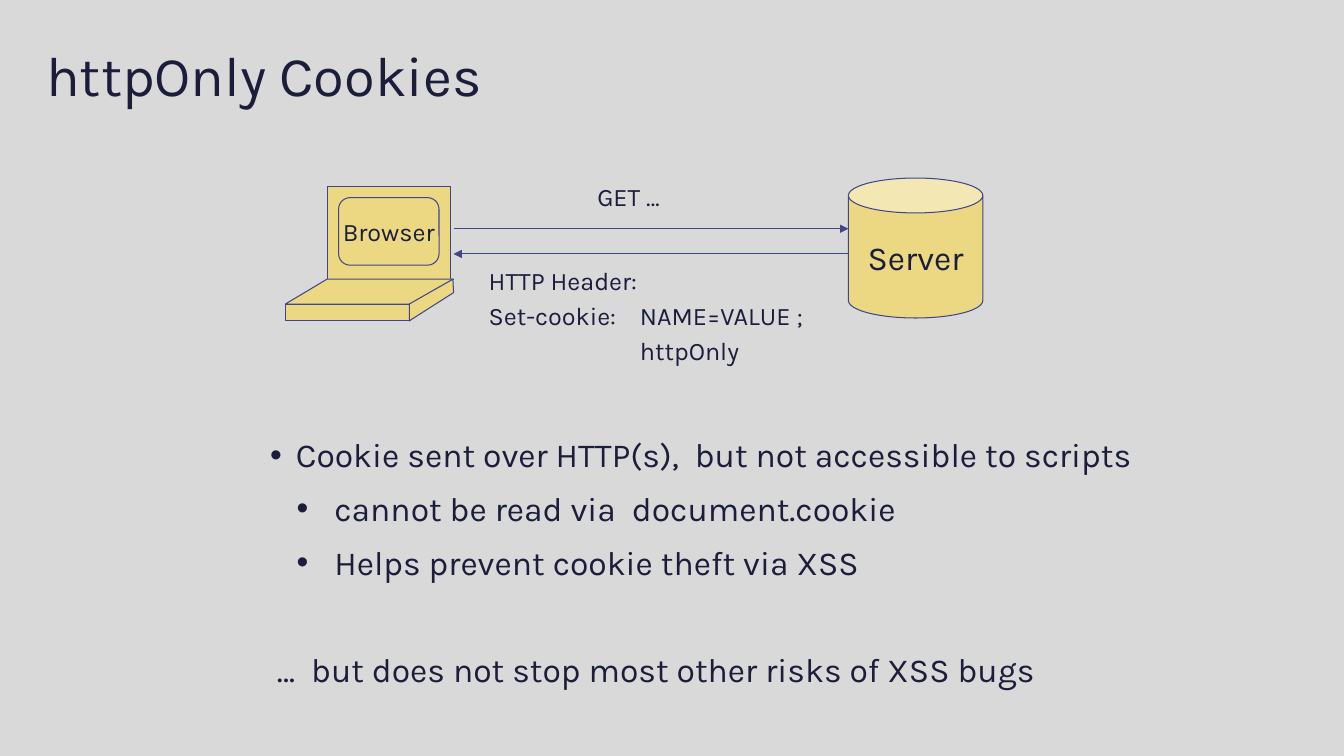
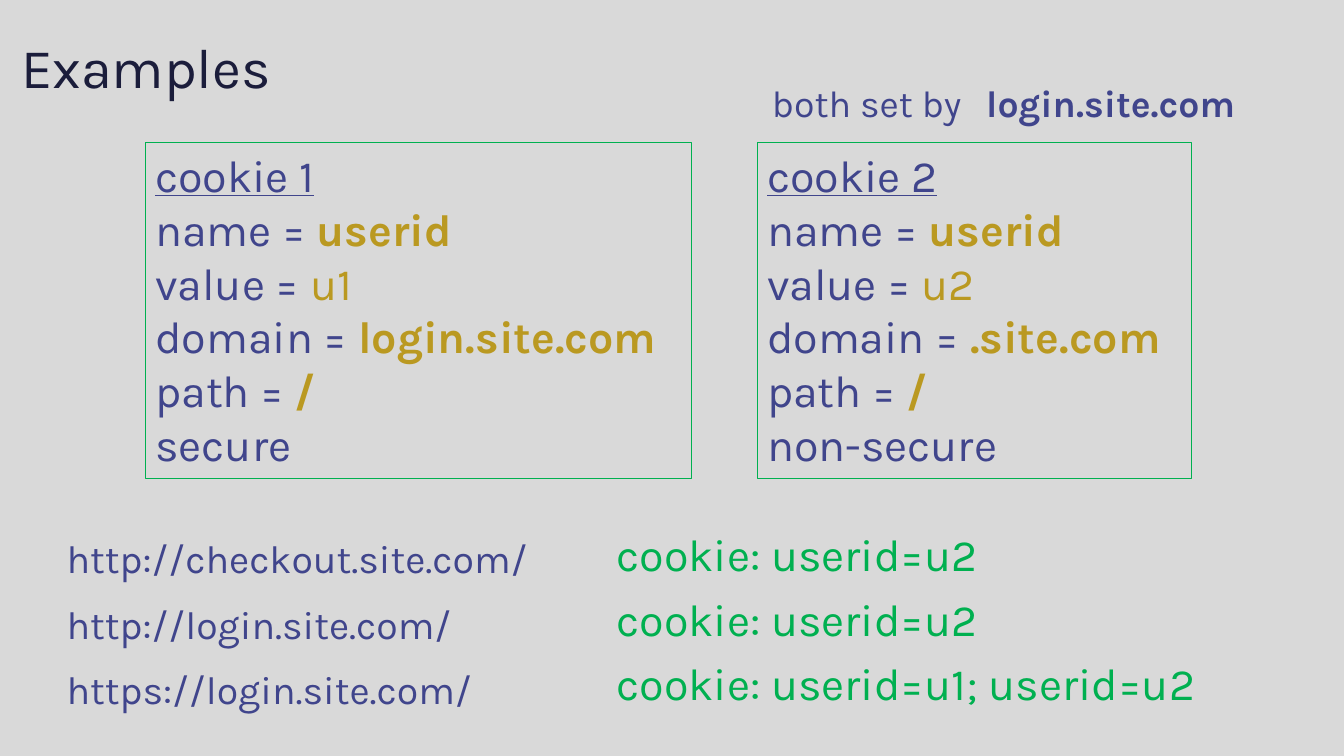
from lxml import etree
from pptx import Presentation
from pptx.dml.color import RGBColor
from pptx.enum.shapes import MSO_CONNECTOR as CONN, MSO_SHAPE as SHAPE
from pptx.enum.text import MSO_ANCHOR as ANCHOR, PP_ALIGN as ALIGN
from pptx.oxml.ns import qn
from pptx.util import Pt

# Shared style
FONT = "Karla"
PAPER, INK, BLUE = "D9D9D9", "1B1D3B", "40458C"
SAND, GOLD, GREEN = "ECD882", "BA9921", "00B050"


def rgb(value):
    return RGBColor.from_string(value)


# Text helpers
def add_run(p, text, size, color=INK, bold=False, underline=False):
    r = p.add_run()
    r.text = text
    f = r.font
    f.name, f.size, f.bold, f.underline = FONT, Pt(size), bold, underline
    f.color.rgb = rgb(color)


def add_para(tf, before=0):
    """Use the empty first paragraph, then append further ones."""
    first = tf.paragraphs[0]
    if not first.runs:
        return first
    p = tf.add_paragraph()
    p.space_before = Pt(before)
    return p


def add_box(s, x, y, w, h, anchor=ANCHOR.TOP):
    tf = s.shapes.add_textbox(Pt(x), Pt(y), Pt(w), Pt(h)).text_frame
    tf.word_wrap = True
    tf.vertical_anchor = anchor
    return tf


def set_indent(p, left, hang=0, bullet=None):
    pPr = p._p.get_or_add_pPr()
    pPr.set("marL", str(Pt(left)))
    pPr.set("indent", str(-Pt(hang)))
    if bullet:
        etree.SubElement(pPr, qn("a:buFont")).set("typeface", "Arial")
        etree.SubElement(pPr, qn("a:buChar")).set("char", bullet)


def add_tab(p, pos):
    tabs = etree.SubElement(p._p.get_or_add_pPr(), qn("a:tabLst"))
    tab = etree.SubElement(tabs, qn("a:tab"))
    tab.set("pos", str(Pt(pos)))
    tab.set("algn", "l")


# Shape helpers
def paint(sp, fill=SAND, line=BLUE):
    sp.shadow.inherit = False
    if fill:
        sp.fill.solid()
        sp.fill.fore_color.rgb = rgb(fill)
    else:
        sp.fill.background()
    sp.line.color.rgb = rgb(line)
    sp.line.width = Pt(0.75)


def add_shape(s, kind, x, y, w, h, adj=None, **colors):
    sp = s.shapes.add_shape(kind, Pt(x), Pt(y), Pt(w), Pt(h))
    if adj is not None:
        sp.adjustments[0] = adj
    paint(sp, **colors)
    return sp


def add_label(sp, text, size):
    tf = sp.text_frame
    tf.margin_left = tf.margin_right = 0
    tf.word_wrap = False
    tf.vertical_anchor = ANCHOR.MIDDLE
    p = tf.paragraphs[0]
    p.alignment = ALIGN.CENTER
    add_run(p, text, size)


def add_arrow(s, x1, x2, y):
    c = s.shapes.add_connector(CONN.STRAIGHT, Pt(x1), Pt(y), Pt(x2), Pt(y))
    c.line.color.rgb = rgb(BLUE)
    c.line.width = Pt(0.75)
    etree.SubElement(c.line._get_or_add_ln(), qn("a:tailEnd")).set("type", "triangle")
    etree.SubElement(c._element.spPr, qn("a:effectLst"))


def new_slide(prs, title, x, y, w, h):
    s = prs.slides.add_slide(prs.slide_layouts[6])
    tf = add_box(s, x, y, w, h, ANCHOR.BOTTOM)
    add_run(tf.paragraphs[0], title, 40)
    return s


# Regions of the httpOnly slide
def laptop(s, x, y, w, h):
    screen_x, screen_w, screen_h = x + w * 0.25, w * 0.73, h * 0.69
    hinge_y, base_y, base_w = y + screen_h, y + h * 0.875, w * 0.745
    add_shape(s, SHAPE.RECTANGLE, screen_x, y, screen_w, screen_h)
    screen = add_shape(s, SHAPE.ROUNDED_RECTANGLE, screen_x + 8, y + 8,
                       screen_w - 16, screen_h - 18, 0.17)
    add_label(screen, "Browser", 18)
    add_shape(s, SHAPE.PARALLELOGRAM, x, hinge_y, w, base_y - hinge_y, 1.67)
    add_shape(s, SHAPE.RECTANGLE, x, base_y, base_w, y + h - base_y)

    # Right side of the base
    edge = x + base_w - 1
    outline = [(edge, y + h), (x + w, y + h * 0.79), (x + w - 0.5, hinge_y),
               (edge, base_y)]
    points = [(Pt(px), Pt(py)) for px, py in outline]
    fb = s.shapes.build_freeform(*points[0])
    fb.add_line_segments(points[1:], close=True)
    paint(fb.convert_to_shape())


def server(s, x, y, w, h):
    add_label(add_shape(s, SHAPE.CAN, x, y, w, h, 0.26), "Server", 24)


def exchange(s, x, y, w):
    """Request and response between x and x + w; y is the request line."""
    add_arrow(s, x, x + w, y)
    add_arrow(s, x + w, x, y + 18)
    p = add_box(s, x + w / 2 - 51, y - 37.4, 70, 28.8).paragraphs[0]
    p.alignment = ALIGN.CENTER
    add_run(p, "GET …", 18)
    tf = add_box(s, x + 18, y + 22.3, 378, 81.4)
    for text in ("HTTP Header:", "Set-cookie:\tNAME=VALUE ;", "\thttpOnly"):
        p = add_para(tf, 3.6)
        add_tab(p, 108)
        add_run(p, text, 18)


def effects(s, x, y, w, h):
    tf = add_box(s, x, y, w, h)
    rows = [  # text, space before, left indent, hanging part, bullet
        ("Cookie sent over HTTP(s),  but not accessible to scripts", 0, 18.5, 18.5, "•"),
        ("cannot be read via  document.cookie", 9.6, 46, 27, "•"),
        ("Helps prevent cookie theft via XSS", 9.6, 46, 27, "•"),
        ("…  but does not stop most other risks of XSS bugs", 48, 5, 0, None),
    ]
    for text, before, left, hang, bullet in rows:
        p = add_para(tf, before)
        set_indent(p, left, hang, bullet)
        add_run(p, text, 24)


def http_only_slide(prs):
    s = new_slide(prs, "httpOnly Cookies", 26, 14.4, 612, 66.2)
    laptop(s, 203.8, 133.2, 120.2, 96)
    server(s, 606, 127.2, 96, 100)
    exchange(s, 324, 163.4, 282)
    effects(s, 185.8, 306.7, 700, 199.4)


# Regions of the examples slide
def cookie_card(s, x, y, w, h, heading, fields, flag):
    sp = add_shape(s, SHAPE.RECTANGLE, x, y, w, h, fill=None, line=GREEN)
    tf = sp.text_frame
    tf.word_wrap = True
    tf.vertical_anchor = ANCHOR.TOP
    add_run(add_para(tf), heading, 32, BLUE, underline=True)
    for name, value in fields.items():
        p = add_para(tf)
        add_run(p, f"{name} = ", 32, BLUE)
        add_run(p, value, 32, GOLD, bold=name != "value")
    add_run(add_para(tf), flag, 32, BLUE)
    for p in tf.paragraphs:
        p.alignment = ALIGN.LEFT


def text_list(s, x, y, w, h, rows, size, color):
    tf = add_box(s, x, y, w, h)
    for text, before in rows:
        add_run(add_para(tf, before), text, size, color)


def origin_note(s, x, y, w, h):
    p = add_box(s, x, y, w, h).paragraphs[0]
    add_tab(p, 153)
    add_run(p, "both set by\t", 26.7, BLUE)
    add_run(p, "login.site.com", 26.7, BLUE, bold=True)


def examples_slide(prs):
    s = new_slide(prs, "Examples", 8, -2.9, 816, 77.8)
    origin_note(s, 544.3, 54, 363.6, 39.6)
    cards = [
        (103.8, 390.4, "cookie 1", "u1", "login.site.com", "secure"),
        (540.8, 310.2, "cookie 2", "u2", ".site.com", "non-secure"),
    ]
    for x, w, heading, value, domain, flag in cards:
        fields = {"name": "userid", "value": value, "domain": domain, "path": "/"}
        cookie_card(s, x, 102, w, 240, heading, fields, flag)
    text_list(s, 40.5, 378, 400, 148.3, [
        ("http://checkout.site.com/", 0),
        ("http://login.site.com/", 13.3),
        ("https://login.site.com/", 13.3),
    ], 28, BLUE)
    text_list(s, 433.4, 373, 460, 139, [
        ("cookie: userid=u2", 0),
        ("cookie: userid=u2", 8),
        ("cookie: userid=u1; userid=u2", 6.7),
    ], 32, GREEN)


def main():
    prs = Presentation()
    prs.slide_width, prs.slide_height = Pt(960), Pt(540)
    fill = prs.slide_master.background.fill
    fill.solid()
    fill.fore_color.rgb = rgb(PAPER)
    http_only_slide(prs)
    examples_slide(prs)
    prs.save("out.pptx")


if __name__ == "__main__":
    main()
